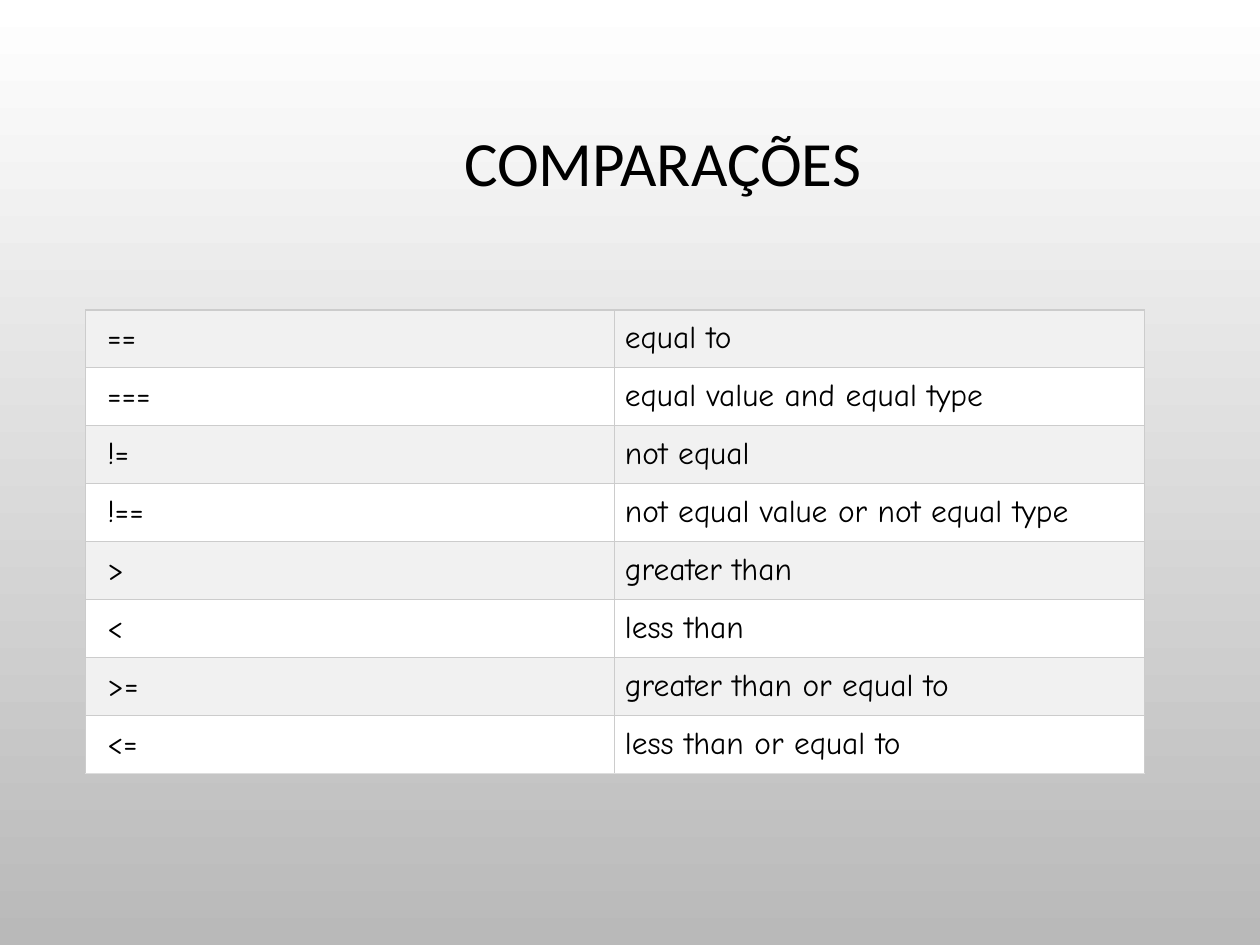
import pptx
import pptx.dml.color
import pptx.enum.text
import pptx.oxml
import pptx.oxml.ns
import pptx.util

# Content
TITLE = "COMPARAÇÕES"
COMPARISONS = [
    ("==", "equal to"),
    ("===", "equal value and equal type"),
    ("!=", "not equal"),
    ("!==", "not equal value or not equal type"),
    (">", "greater than"),
    ("<", "less than"),
    (">=", "greater than or equal to"),
    ("<=", "less than or equal to"),
]
BACKGROUND = ("FFFFFF", "B9B9B9")
ROW_FILLS = ("F1F1F1", "FFFFFF")
BORDER, LAST_BORDER = "CCCCCC", "DDDDDD"

# Grid, in inches
TABLE_LEFT, TABLE_TOP = 0.68, 2.46
COLUMN_WIDTH, TABLE_HEIGHT = 4.2, 3.64
PADDING, OPERATOR_PADDING = 0.08, 0.17

inches = pptx.util.Inches


def color(value):
    return pptx.dml.color.RGBColor.from_string(value)


def write(frame, text, font, size, align="LEFT", anchor="TOP",
          insets=(PADDING,) * 4, line_spacing=None):
    frame.word_wrap = True
    frame.vertical_anchor = getattr(pptx.enum.text.MSO_ANCHOR, anchor)
    for side, inset in zip(("left", "top", "right", "bottom"), insets):
        setattr(frame, "margin_" + side, inches(inset))
    paragraph = frame.paragraphs[0]
    paragraph.alignment = getattr(pptx.enum.text.PP_ALIGN, align)
    paragraph.line_spacing = line_spacing
    run = paragraph.add_run()
    run.text = text
    run.font.name = font
    run.font.size = pptx.util.Pt(size)
    run.font.color.rgb = color("000000")


def set_borders(cell, bottom):
    properties = cell._tc.get_or_add_tcPr()
    sides = (("L", BORDER), ("R", BORDER), ("T", BORDER), ("B", bottom))
    for index, (side, value) in enumerate(sides):
        properties.insert(index, pptx.oxml.parse_xml(
            f'<a:ln{side} {pptx.oxml.ns.nsdecls("a")} w="{pptx.util.Pt(0.75)}">'
            f'<a:solidFill><a:srgbClr val="{value}"/></a:solidFill></a:ln{side}>'))


presentation = pptx.Presentation()
presentation.slide_width, presentation.slide_height = inches(10), inches(7.5)
slide = presentation.slides.add_slide(presentation.slide_layouts[6])

# Background, fading downwards
fill = slide.background.fill
fill.gradient()
fill.gradient_angle = 270
for stop, position, value in zip(fill.gradient_stops, (0, 1), BACKGROUND):
    stop.position = position
    stop.color.rgb = color(value)

# Title
title = slide.shapes.add_textbox(inches(0.76), inches(0.7), inches(9), inches(1.25))
write(title.text_frame, TITLE, "Calibri", 36, align="CENTER", anchor="MIDDLE",
      insets=(0.09, 0.03, 0.09, 0.05), line_spacing=0.9)

# Table of operators
table = slide.shapes.add_table(
    len(COMPARISONS), 2, inches(TABLE_LEFT), inches(TABLE_TOP),
    inches(2 * COLUMN_WIDTH), inches(TABLE_HEIGHT)).table
table.first_row = table.horz_banding = False
for row, texts in enumerate(COMPARISONS):
    last = row == len(COMPARISONS) - 1
    for column, text in enumerate(texts):
        cell = table.cell(row, column)
        left = PADDING if column else OPERATOR_PADDING
        cell.fill.solid()
        cell.fill.fore_color.rgb = color(ROW_FILLS[row % 2])
        set_borders(cell, LAST_BORDER if last else BORDER)
        # A cell holds its margins and anchor itself
        cell.margin_left = inches(left)
        cell.margin_top = cell.margin_right = cell.margin_bottom = inches(PADDING)
        write(cell.text_frame, text, "Comic Neue", 18)

presentation.save("out.pptx")
